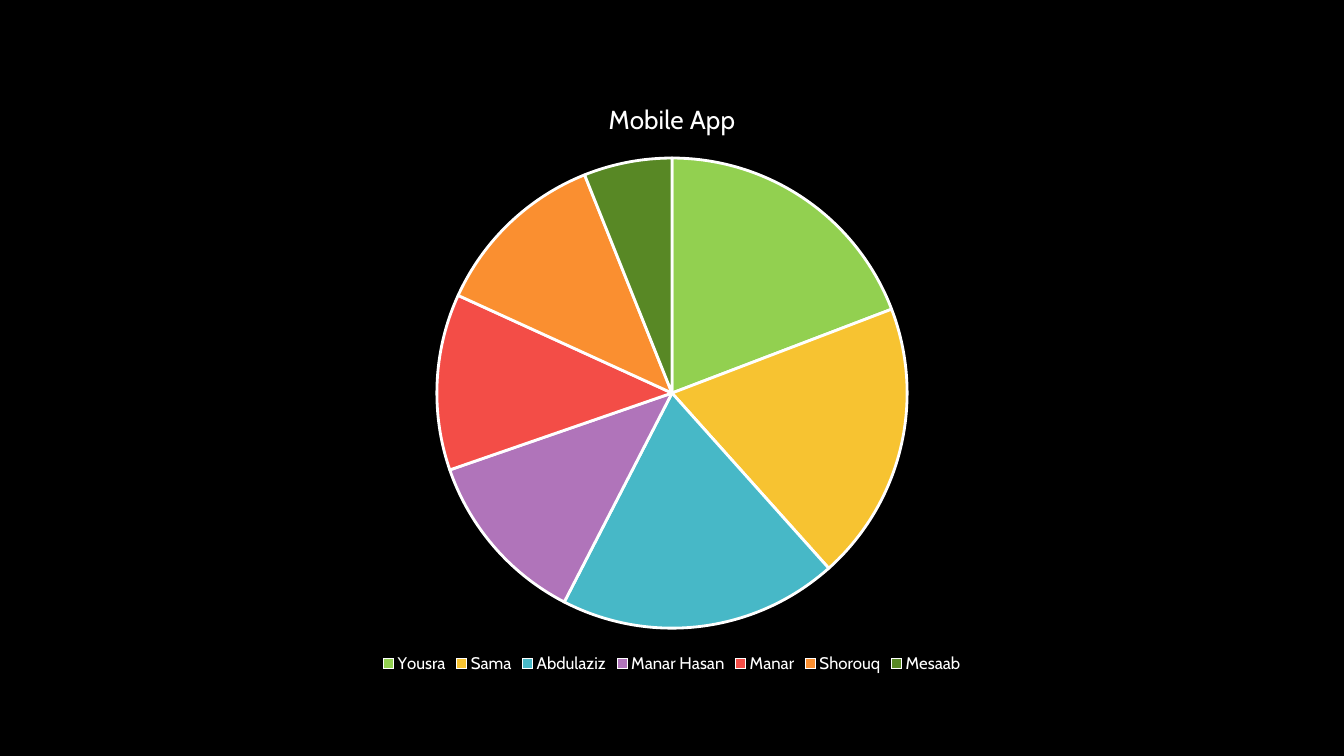
from pptx import Presentation
from pptx.chart.data import CategoryChartData
from pptx.dml.color import RGBColor
from pptx.enum.chart import XL_CHART_TYPE, XL_LEGEND_POSITION
from pptx.util import Inches, Pt

PIE = XL_CHART_TYPE.PIE
BOTTOM = XL_LEGEND_POSITION.BOTTOM
BLANK_LAYOUT = 6
FONT = "Cabin"
COLORS = {
    "background": "000000",
    "text": "FFFFFF",
    "Yousra": "92D050",
    "Sama": "F7C331",
    "Abdulaziz": "47B8C7",
    "Manar Hasan": "B074BA",
    "Manar": "F34D47",
    "Shorouq": "FA8F30",
    "Mesaab": "588825",
}
SHARES = {
    "Yousra": 19,
    "Sama": 19,
    "Abdulaziz": 19,
    "Manar Hasan": 12,
    "Manar": 12,
    "Shorouq": 12,
    "Mesaab": 6,
}


def color(name):
    return RGBColor.from_string(COLORS[name])


def style_font(font, size):
    font.name = FONT
    font.size = Pt(size)
    font.bold = False
    font.color.rgb = color("text")


prs = Presentation()
prs.slide_width = Inches(13.33)
prs.slide_height = Inches(7.5)
slide = prs.slides.add_slide(prs.slide_layouts[BLANK_LAYOUT])
slide.background.fill.solid()
slide.background.fill.fore_color.rgb = color("background")

# Pie of each member's share
share_data = CategoryChartData()
share_data.categories = list(SHARES)
share_data.add_series("Mobile App", list(SHARES.values()))
chart = slide.shapes.add_chart(
    PIE, Inches(2.22), Inches(0.79), Inches(8.89), Inches(5.93), share_data
).chart
style_font(chart.font, 10)

# Title and legend
chart.has_title = True
chart.chart_title.include_in_layout = False
heading = chart.chart_title.text_frame.paragraphs[0]
heading.text = "Mobile App"
style_font(heading.font, 18.6)

chart.has_legend = True
chart.legend.position = BOTTOM
chart.legend.include_in_layout = False
style_font(chart.legend.font, 12)

# Slices
pie = chart.plots[0]
pie.vary_by_categories = True
for index, member in enumerate(SHARES):
    slice_format = pie.series[0].points[index].format
    slice_format.fill.solid()
    slice_format.fill.fore_color.rgb = color(member)
    slice_format.line.color.rgb = color("text")
    slice_format.line.width = Pt(2)

prs.save("out.pptx")
